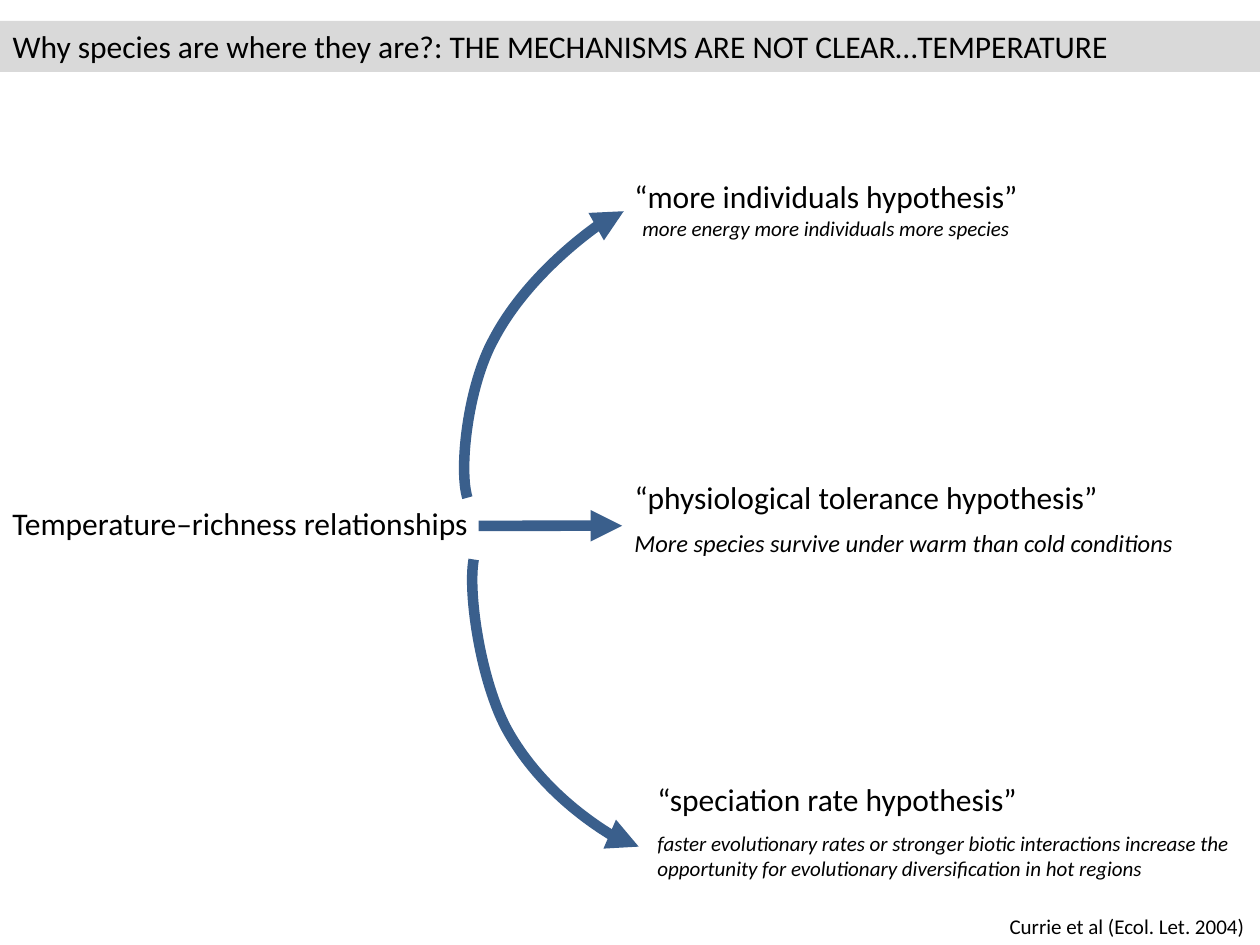
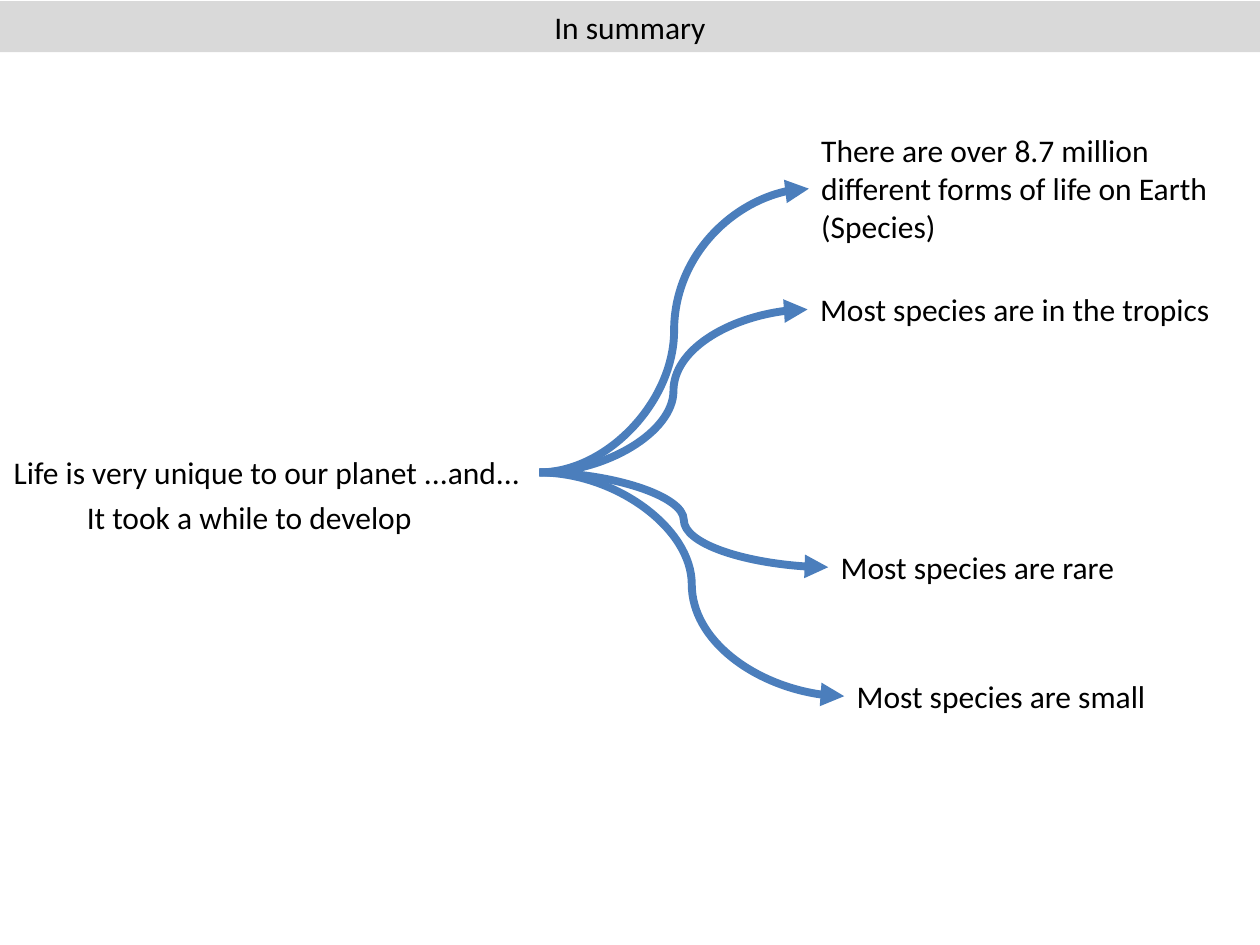
from dataclasses import dataclass

from lxml import etree
from pptx import Presentation
from pptx.dml.color import RGBColor
from pptx.enum.shapes import MSO_CONNECTOR
from pptx.enum.text import MSO_ANCHOR, MSO_AUTO_SIZE, PP_ALIGN
from pptx.oxml.ns import qn
from pptx.util import Pt

LEFT, CENTER = PP_ALIGN.LEFT, PP_ALIGN.CENTER
TOP = MSO_ANCHOR.TOP
FIT, FIXED = MSO_AUTO_SIZE.SHAPE_TO_FIT_TEXT, MSO_AUTO_SIZE.NONE
CURVE = MSO_CONNECTOR.CURVE
TITLE_ONLY = 5


@dataclass(frozen=True)
class Theme:
    font: str = "Calibri"
    text: RGBColor = RGBColor(0x00, 0x00, 0x00)
    band: RGBColor = RGBColor(0xD9, 0xD9, 0xD9)
    dark_arrow: RGBColor = RGBColor(0x3A, 0x5F, 0x8C)
    light_arrow: RGBColor = RGBColor(0x4B, 0x7E, 0xBC)
    body: int = 18
    detail: int = 14
    small: int = 12
    thick: float = 6
    thin: float = 4.5
    width: int = 720
    height: int = 540
    line_box: float = 29.08  # height of a one-line body box


THEME = Theme()


def write(tf, text, size=THEME.body, italic=False, align=LEFT, wrap=True, fit=FIT):
    """Put one formatted paragraph in a text frame."""
    tf.word_wrap = wrap
    tf.auto_size = fit
    tf.vertical_anchor = TOP
    p = tf.paragraphs[0]
    p.alignment = align
    r = p.add_run()
    r.text = text
    r.font.name = THEME.font
    r.font.size = Pt(size)
    r.font.italic = italic
    r.font.color.rgb = THEME.text


class Deck:
    def __init__(self, theme):
        self.theme = theme
        self.prs = Presentation()
        self.prs.slide_width = Pt(theme.width)
        self.prs.slide_height = Pt(theme.height)
        self.s = None

    def slide(self, title, top, align=LEFT):
        """Start a slide whose title is a full-width grey band."""
        self.s = self.prs.slides.add_slide(self.prs.slide_layouts[TITLE_ONLY])
        sp = self.s.shapes.title
        sp.left, sp.top = Pt(0), Pt(top)
        sp.width, sp.height = Pt(self.theme.width), Pt(self.theme.line_box)
        sp.fill.solid()
        sp.fill.fore_color.rgb = self.theme.band
        write(sp.text_frame, title, align=align, fit=FIXED)

    def text(self, text, x, y, w, h=THEME.line_box, **fmt):
        sp = self.s.shapes.add_textbox(Pt(x), Pt(y), Pt(w), Pt(h))
        write(sp.text_frame, text, **fmt)

    def style_arrow(self, sp, color, weight):
        sp.line.color.rgb = color
        sp.line.width = Pt(weight)
        ln = sp.line._get_or_add_ln()
        etree.SubElement(ln, qn("a:tailEnd"), type="triangle")

    def curve(self, start, end, color, weight):
        sp = self.s.shapes.add_connector(CURVE, *map(Pt, start + end))
        self.style_arrow(sp, color, weight)
        etree.SubElement(sp._element.spPr, qn("a:effectLst"))

    def outline(self, start, points, color, weight):
        """Draw an open arrow through the points and return it."""
        fb = self.s.shapes.build_freeform(*map(Pt, start))
        fb.add_line_segments([(Pt(x), Pt(y)) for x, y in points], close=False)
        sp = fb.convert_to_shape()
        sp.fill.background()
        sp.shadow.inherit = False
        self.style_arrow(sp, color, weight)
        return sp

    def bezier(self, start, points, **line):
        """Draw an open arrow; each three points make one cubic segment."""
        sp = self.outline(start, points, **line)
        segments = list(sp._element.iter(qn("a:lnTo")))
        for i in range(0, len(segments), 3):
            first, *others = segments[i:i + 3]
            first.tag = qn("a:cubicBezTo")
            for seg in others:
                first.append(seg[0])
                seg.getparent().remove(seg)


def temperature_slide(deck):
    t = deck.theme
    deck.slide("Why species are where they are?: "
               "THE MECHANISMS ARE NOT CLEAR…TEMPERATURE", 12)
    deck.text("Temperature–richness relationships", 0, 284.4, 286.6, wrap=False)

    # Hypotheses: name, then explanation
    deck.text("“more individuals hypothesis”", 355.5, 97.9, 235.4, wrap=False)
    deck.text("more energy more individuals more species", 360, 119.5, 229, 21.8,
              size=t.small, italic=True, wrap=False)
    deck.text("“physiological tolerance hypothesis”", 355.5, 269.6, 281.5, wrap=False)
    deck.text("More species survive under warm than cold conditions",
              355.5, 298.1, 360, 24.2, size=t.detail, italic=True)
    deck.text("“speciation rate hypothesis”", 368.6, 442.1, 222.5, wrap=False)
    deck.text("faster evolutionary rates or stronger biotic interactions increase "
              "the opportunity for evolutionary diversification in hot regions",
              368.6, 470.9, 347, 36.4, size=t.small, italic=True)

    # Arrows to the hypotheses; the middle one is a diagonal turned level
    arrow = dict(color=t.dark_arrow, weight=t.thick)
    deck.bezier((267.1, 284.4), [(262.1, 268.6), (267.1, 221), (282.2, 193.7),
                                 (296.6, 166.3), (339.8, 125.3), (356.4, 120.7)], **arrow)
    middle = deck.outline((277.4, 283), [(351.6, 317.9)], **arrow)
    middle.rotation = 334.8
    deck.bezier((270.7, 319.7), [(267.1, 339.1), (275, 391.7), (290.9, 419),
                                 (306.7, 446.4), (349.2, 482.4), (365, 483.8)], **arrow)

    # Source
    deck.text("Currie et al (Ecol. Let. 2004)", 569.8, 518.4, 150.5, 21.8,
              size=t.small, wrap=False)


def summary_slide(deck):
    t = deck.theme
    deck.slide("In summary", 0.7, align=CENTER)
    deck.text("Life is very unique to our planet ...and...", 0.7, 255.6, 307.4,
              wrap=False)
    deck.text("It took a while to develop", 42.5, 281.2, 202.3, wrap=False)

    # Conclusions, each reached by a curve from the same start
    start = (308.2, 270)
    conclusions = [
        ("There are over 8.7 million different forms of life on Earth (Species)",
         462.2, 71.5, 235.4, 72.7, True),
        ("Most species are in the tropics", 461.5, 162.3, 248.4, t.line_box, True),
        ("Most species are rare", 473.3, 309.6, 172.8, t.line_box, False),
        ("Most species are small", 482.4, 383.3, 181.4, t.line_box, False),
    ]
    for text, x, y, w, h, wrap in conclusions:
        deck.text(text, x, y, w, h, wrap=wrap)
        deck.curve(start, (x, y + h / 2), t.light_arrow, t.thin)


def main():
    deck = Deck(THEME)
    temperature_slide(deck)
    summary_slide(deck)
    deck.prs.save("out.pptx")


if __name__ == "__main__":
    main()
